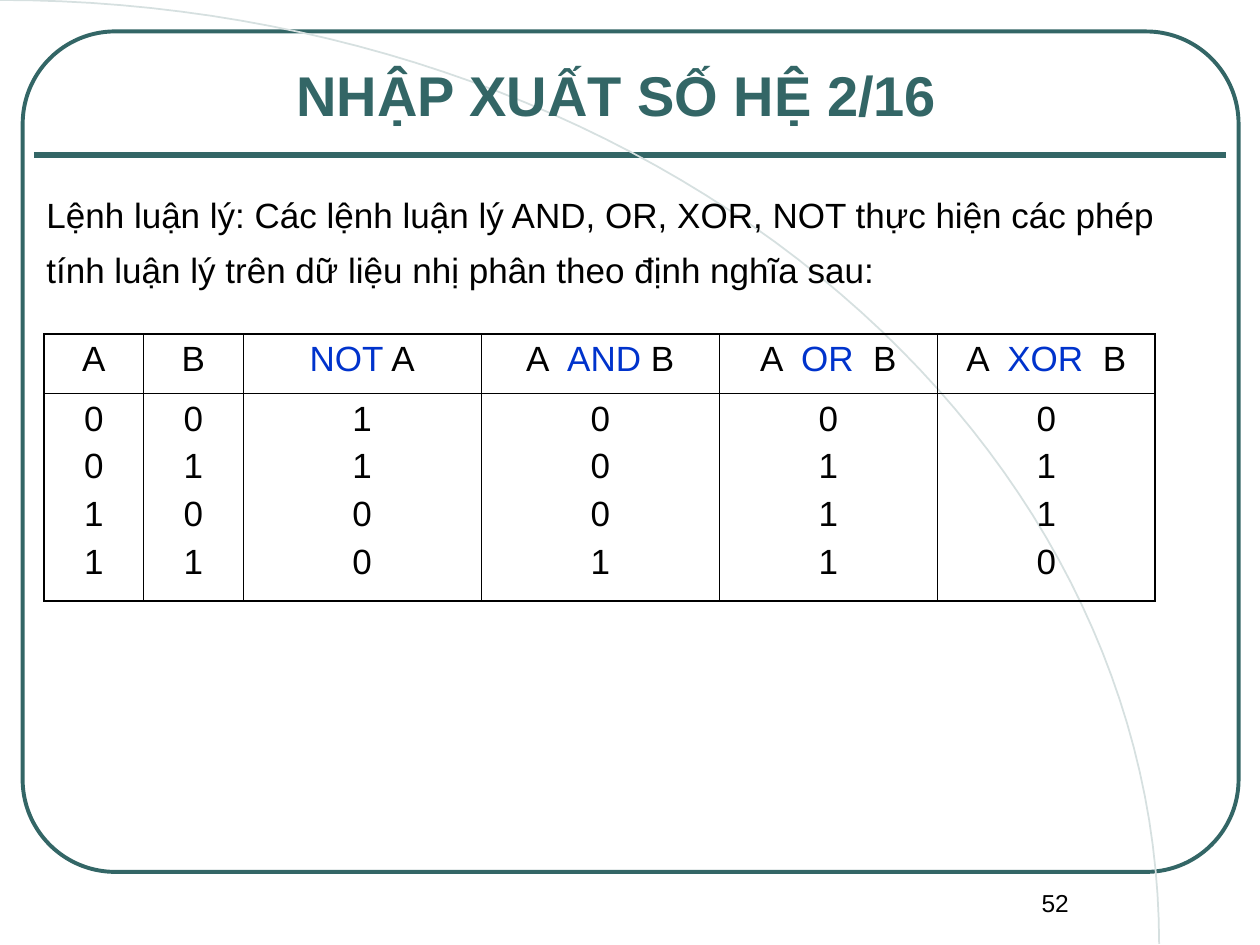
from math import cos, pi, sin

from lxml.etree import SubElement
from pptx import Presentation
from pptx.dml.color import RGBColor
from pptx.enum.shapes import MSO_CONNECTOR, MSO_SHAPE
from pptx.enum.text import MSO_ANCHOR as ANCHOR, PP_ALIGN as ALIGN
from pptx.oxml.ns import qn
from pptx.util import Inches, Pt

COLORS = {"teal": "336666", "pale": "D6E0E0", "black": "000000", "blue": "0033CC"}
FONT = "Arial"
THIN, THICK = 0.45, 1.08

COLUMN_WIDTHS = [0.79, 0.79, 1.89, 1.89, 1.73, 1.73]
ROW_HEIGHTS = [0.47, 1.65]
OPERATORS = ("NOT", "AND", "OR", "XOR")
TRUTH_TABLE = [
    (["A"], "0011"),
    (["B"], "0101"),
    (["NOT", " A"], "1100"),
    (["A  ", "AND", " B"], "0001"),
    (["A  ", "OR", "  B"], "0111"),
    (["A  ", "XOR", "  B"], "0110"),
]


def rgb(name):
    return RGBColor.from_string(COLORS[name])


def write_text(tf, paragraphs, size=20, color="black", bold=False,
               align=ALIGN.LEFT, line_spacing=None, space_before=0):
    """Fill a text frame; each paragraph is a list of runs, operators in blue."""
    for i, runs in enumerate(paragraphs):
        p = tf.add_paragraph() if i else tf.paragraphs[0]
        p.alignment = align
        if line_spacing:
            p.line_spacing = line_spacing
        if i and space_before:
            p.space_before = Pt(space_before)
        for text in runs:
            r = p.add_run()
            r.text = text
            r.font.name, r.font.size, r.font.bold = FONT, Pt(size), bold
            r.font.color.rgb = rgb("blue" if text in OPERATORS else color)


def add_text(slide, box, paragraphs, anchor=ANCHOR.TOP, **text_format):
    tf = slide.shapes.add_textbox(*map(Inches, box)).text_frame
    tf.word_wrap = True
    tf.vertical_anchor = anchor
    write_text(tf, paragraphs, **text_format)


def style_outline(sp, color, width):
    sp.shadow.inherit = False
    sp.fill.background()
    sp.line.color.rgb = rgb(color)
    sp.line.width = Pt(width)


def add_frame(slide, box):
    """Rounded border with a rule under the title area."""
    left, top, width, height = box
    sp = slide.shapes.add_shape(MSO_SHAPE.ROUNDED_RECTANGLE, *map(Inches, box))
    sp.adjustments[0] = 0.11
    style_outline(sp, "teal", 2.25)

    y = Inches(top + 0.98)
    rule = slide.shapes.add_connector(
        MSO_CONNECTOR.STRAIGHT, Inches(left + 0.09), y, Inches(left + width - 0.1), y)
    rule.line.color.rgb = rgb("teal")
    rule.line.width = Pt(3)
    SubElement(rule._element.spPr, qn("a:effectLst"))


def add_quarter_arc(slide, box, steps=60):
    """Quarter ellipse from the top left to the bottom right of the box."""
    left, top, width, height = box
    angles = [pi / 2 * i / steps for i in range(steps + 1)]
    points = [(Inches(left + width * sin(a)), Inches(top + height * (1 - cos(a))))
              for a in angles]
    builder = slide.shapes.build_freeform(*points[0])
    builder.add_line_segments(points[1:], close=False)
    style_outline(builder.convert_to_shape(), "pale", 1)


def set_borders(cell, widths):
    tc_pr = cell._tc.get_or_add_tcPr()
    for side, width in zip("LRTB", widths):
        ln = SubElement(tc_pr, qn(f"a:ln{side}"), w=str(Pt(width)))
        fill = SubElement(ln, qn("a:solidFill"))
        SubElement(fill, qn("a:srgbClr"), val=COLORS["black"])


def add_truth_table(slide, box):
    n_rows, n_cols = len(ROW_HEIGHTS), len(COLUMN_WIDTHS)
    table = slide.shapes.add_table(n_rows, n_cols, *map(Inches, box)).table
    table.first_row = table.horz_banding = False
    for row, height in zip(table.rows, ROW_HEIGHTS):
        row.height = Inches(height)
    for c, (heading, values) in enumerate(TRUTH_TABLE):
        table.columns[c].width = Inches(COLUMN_WIDTHS[c])
        for r, paragraphs in enumerate([[heading], values]):
            cell = table.cell(r, c)
            write_text(cell.text_frame, paragraphs, align=ALIGN.CENTER, space_before=5)
            on_edge = (c == 0, c == n_cols - 1, r == 0, r == n_rows - 1)
            set_borders(cell, [THICK if edge else THIN for edge in on_edge])
            cell.fill.background()


def main():
    prs = Presentation()
    prs.slide_width, prs.slide_height = Inches(10), Inches(7.5)
    slide = prs.slides.add_slide(prs.slide_layouts[6])

    add_frame(slide, (0.18, 0.25, 9.65, 6.67))
    add_quarter_arc(slide, (0, 0, 9.2, 7.49))
    add_text(slide, (7.5, 7, 1.75, 0.5), [["52"]], size=14, align=ALIGN.CENTER)
    add_text(slide, (0.35, 0, 9.21, 1.06), [["NHẬP XUẤT SỐ HỆ 2/16 "]],
             anchor=ANCHOR.BOTTOM, size=32, color="teal", bold=True, align=ALIGN.CENTER)
    add_text(slide, (0.27, 1.39, 9.37, 0.97), [
        ["Lệnh luận lý: Các lệnh luận lý AND, OR, XOR, NOT thực hiện các phép"],
        ["tính luận lý trên dữ liệu nhị phân theo định nghĩa sau:"],
    ], line_spacing=1.3)
    add_truth_table(slide, (0.35, 2.65, sum(COLUMN_WIDTHS), sum(ROW_HEIGHTS)))

    prs.save("out.pptx")


if __name__ == "__main__":
    main()
